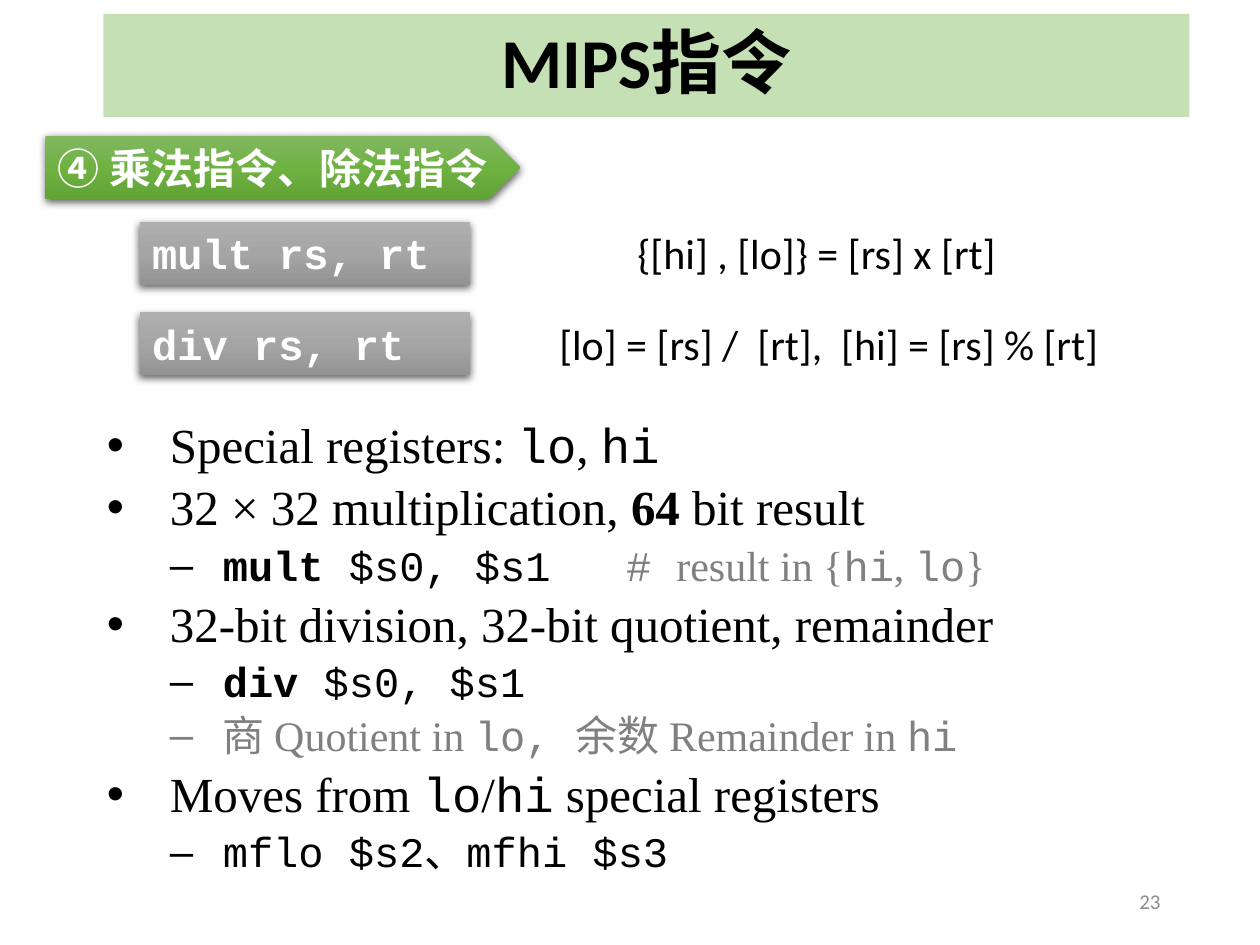
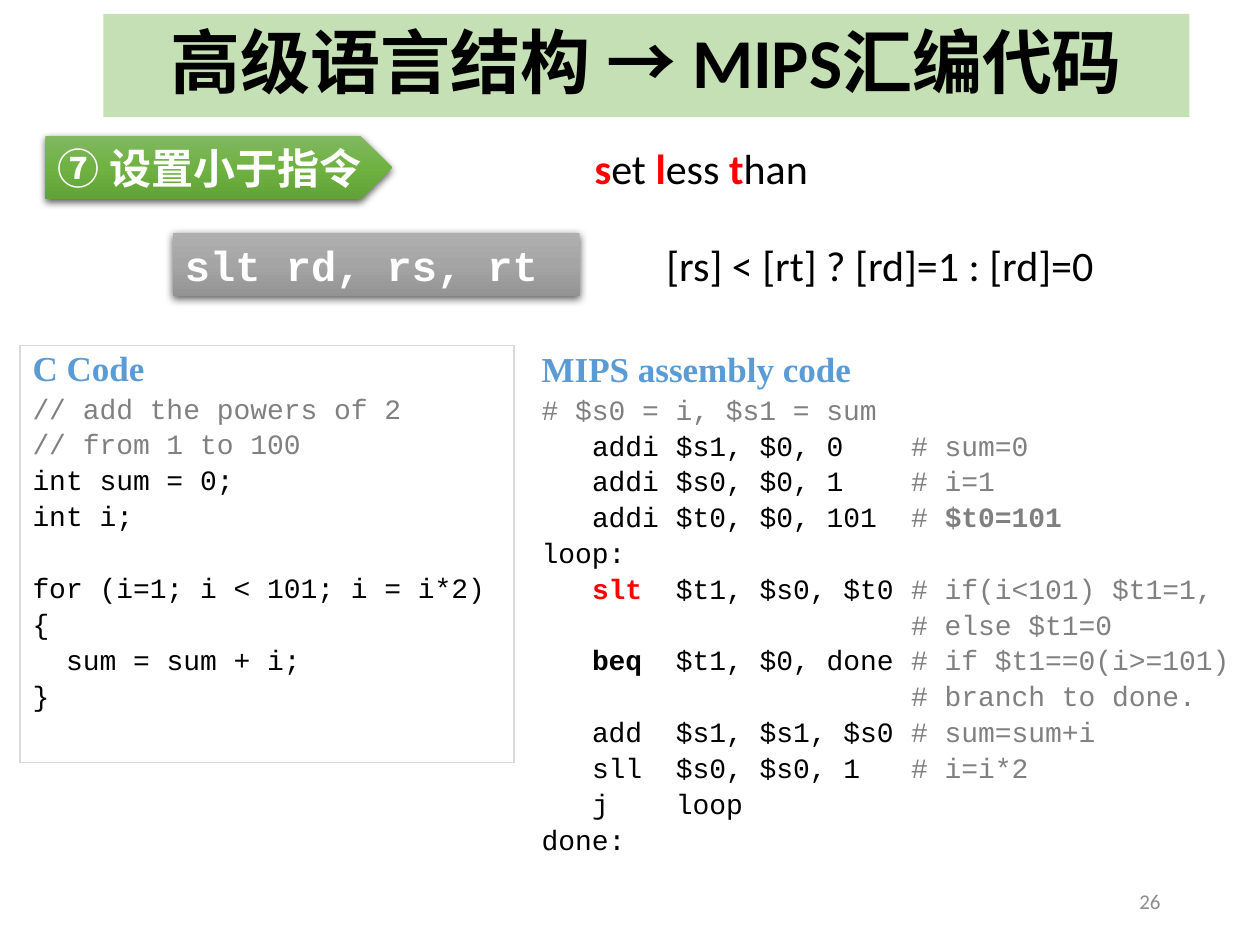
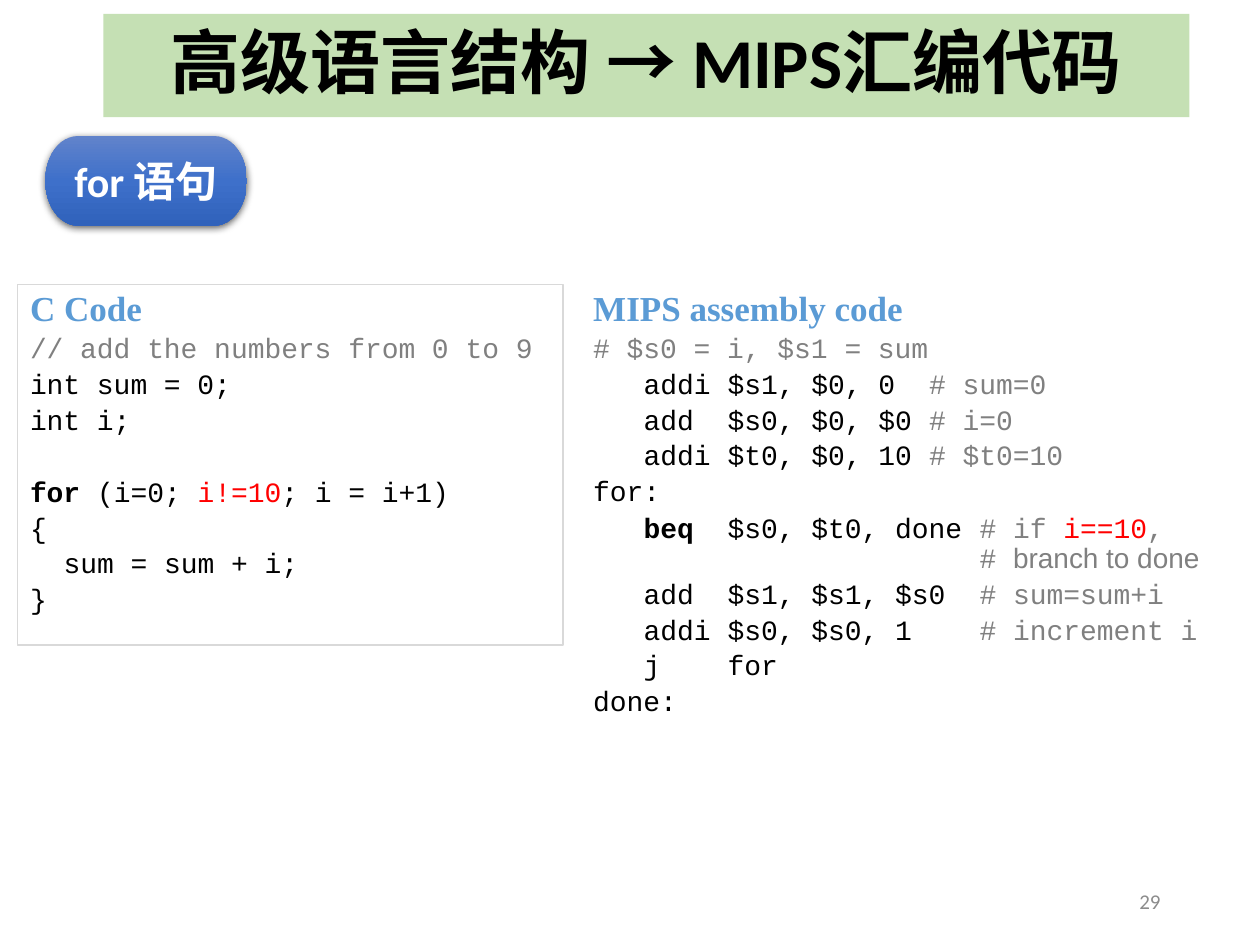
"""Build three slides on MIPS instructions and assembly code."""
from lxml import etree
from pptx import Presentation
from pptx.dml.color import RGBColor
from pptx.enum.shapes import MSO_SHAPE
from pptx.enum.text import MSO_ANCHOR, MSO_AUTO_SIZE, PP_ALIGN
from pptx.oxml.ns import qn
from pptx.util import Inches, Pt

RECT, ARROW = MSO_SHAPE.RECTANGLE, MSO_SHAPE.PENTAGON
PILL = MSO_SHAPE.FLOWCHART_TERMINATOR
TOP, MIDDLE = MSO_ANCHOR.TOP, MSO_ANCHOR.MIDDLE
FIT, FIXED = MSO_AUTO_SIZE.SHAPE_TO_FIT_TEXT, MSO_AUTO_SIZE.NONE
LEFT, CENTER, RIGHT = PP_ALIGN.LEFT, PP_ALIGN.CENTER, PP_ALIGN.RIGHT

SANS, SERIF, MONO = "Calibri", "Times New Roman", "Courier New"
BLACK, WHITE, GREY, RED = "000000", "FFFFFF", "808080", "FF0000"
MINT, BLUE, PALE = "C5E0B4", "5B9BD5", "D9D9D9"
GREENS = ["81B861", "6FB242", "62A336"]
GREYS = ["AFAFAF", "A5A5A5", "939393"]
BLUES = ["6183CB", "3E70CA", "3062BB"]
STYLES = {
    "title": (SANS, BLACK, True), "plain": (SANS, BLACK, False),
    "key": (SANS, RED, True), "label": (SANS, WHITE, True),
    "tag": (MONO, WHITE, True), "page": (SANS, "8C8C8C", False),
    "head": (SERIF, BLUE, True), "text": (SERIF, BLACK, False),
    "strong": (SERIF, BLACK, True), "soft": (SERIF, GREY, False),
    "code": (MONO, BLACK, False), "bold": (MONO, BLACK, True),
    "note": (MONO, GREY, False), "mark": (MONO, GREY, True),
    "red": (MONO, RED, False), "hot": (MONO, RED, True),
    "aside": ("Arial", GREY, False),
}
CHAR = 16 * 0.6 / 72


def write(para, size, runs, align=LEFT):
    """Fill a paragraph with (style, text) runs; a newline text breaks the line."""
    para.alignment = align
    for style, text in runs:
        if text == "\n":
            para.add_line_break()
            continue
        run = para.add_run()
        run.text = text
        name, tone, bold = STYLES[style]
        run.font.name, run.font.size, run.font.bold = name, Pt(size), bold
        run.font.color.rgb = RGBColor.from_string(tone)


def box(slide, at, kind=None, stops=None, wrap=True):
    """Add a text box, an outlined shape or a shaded shape; return its frame."""
    area = [Inches(v) for v in at]
    if kind is None:
        shape = slide.shapes.add_textbox(*area)
    else:
        shape = slide.shapes.add_shape(kind, *area)
        shape.shadow.inherit = False
        if stops:
            shape.fill.gradient()
            shape.fill.gradient_angle = 270
            shape.line.fill.background()
            props = shape.element.spPr
            ramp = props.find(".//" + qn("a:gsLst"))
            ramp.clear()
            for pos, tone in zip((0, 50000, 100000), stops):
                stop = etree.SubElement(ramp, qn("a:gs"), pos=str(pos))
                etree.SubElement(stop, qn("a:srgbClr"), val=tone)
            glow = etree.SubElement(
                props.find(qn("a:effectLst")), qn("a:outerShdw"), blurRad=str(Pt(4.5)),
                dist=str(Pt(1.5)), dir="5400000", algn="ctr", rotWithShape="0")
            tone = etree.SubElement(glow, qn("a:srgbClr"), val=BLACK)
            etree.SubElement(tone, qn("a:alpha"), val="63000")
        else:
            shape.fill.background()
            shape.line.color.rgb = RGBColor.from_string(PALE)
            shape.line.width = Pt(0.75)
    frame = shape.text_frame
    frame.word_wrap = wrap
    frame.vertical_anchor = TOP
    frame.auto_size = FIXED if wrap else FIT
    return frame


deck = Presentation()
deck.slide_width, deck.slide_height = Inches(10), Inches(7.5)

slides = []
LOWER = "高级语言结构 → MIPS汇编代码"
for title, page in [("MIPS指令", "23"), (LOWER, "26"), (LOWER, "29")]:
    slide = deck.slides.add_slide(deck.slide_layouts[5])
    slides.append(slide)
    head = slide.shapes.title
    head.left, head.top = Inches(0.82), Inches(0.11)
    head.width, head.height = Inches(8.62), Inches(0.82)
    head.fill.solid()
    head.fill.fore_color.rgb = RGBColor.from_string(MINT)
    head.text_frame.vertical_anchor = MIDDLE
    head.text_frame.auto_size = FIXED
    para = head.text_frame.paragraphs[0]
    para.line_spacing = 0.9
    write(para, 40, [("title", title)], CENTER)
    frame = box(slide, (7.06, 6.95, 2.25, 0.4))
    frame.vertical_anchor = MIDDLE
    write(frame.paragraphs[0], 12, [("page", page)], RIGHT)
first, second, third = slides

for slide, width, text in [(first, 3.77, "④ 乘法指令、除法指令"), (second, 2.75, "⑦ 设置小于指令")]:
    frame = box(slide, (0.36, 1.08, width, 0.5), ARROW, GREENS, False)
    write(frame.paragraphs[0], 24, [("label", text)])
frame = box(third, (0.36, 1.08, 1.6, 0.71), PILL, BLUES)
write(frame.paragraphs[0], 24, [("label", "for 语句")], CENTER)

for slide, left, top, width, text in [
    (first, 1.11, 1.76, 2.62, "mult rs, rt"),
    (first, 1.11, 2.48, 2.62, "div rs, rt"),
    (second, 1.37, 1.85, 3.23, "slt rd, rs, rt"),
]:
    frame = box(slide, (left, top, width, 0.5), RECT, GREYS, False)
    write(frame.paragraphs[0], 24, [("tag", text)])

SLT = [("key", "s"), ("plain", "et "), ("key", "l"), ("plain", "ess "), ("key", "t"), ("plain", "han")]
for slide, left, top, width, runs in [
    (first, 4.96, 1.76, 3.07, [("plain", "{[hi] , [lo]} = [rs] x [rt]")]),
    (first, 4.34, 2.48, 4.52, [("plain", "[lo] = [rs] /  [rt],  [hi] = [rs] % [rt]")]),
    (second, 5.19, 1.85, 3.62, [("plain", "[rs] < [rt] ? [rd]=1 : [rd]=0")]),
    (second, 4.62, 1.08, 1.91, SLT),
]:
    frame = box(slide, (left, top, width, 0.5), wrap=False)
    write(frame.paragraphs[0], 24, runs)

points = [
    (0, [("text", "Special registers: "), ("code", "lo"), ("text", ", "), ("code", "hi")]),
    (0, [("text", "32 × 32 multiplication, "), ("strong", "64 "), ("text", "bit result")]),
    (1, [("bold", "mult"), ("code", " $s0, $s1\t"), ("note", "# "), ("soft", "result in {"),
         ("note", "hi"), ("soft", ", "), ("note", "lo"), ("soft", "}")]),
    (0, [("text", "32-bit division, 32-bit quotient, remainder")]),
    (1, [("bold", "div"), ("code", " $s0, $s1")]),
    (1, [("soft", "商 Quotient in "), ("note", "lo, "), ("soft", "余数 Remainder in "), ("note", "hi")]),
    (0, [("text", "Moves from "), ("code", "lo"), ("text", "/"), ("code", "hi"),
         ("text", " special registers")]),
    (1, [("code", "mflo $s2、mfhi $s3")]),
]
frame = box(first, (0.75, 3.29, 8.42, 3.93))
for row, (level, runs) in enumerate(points):
    para = frame.add_paragraph() if row else frame.paragraphs[0]
    para.level, para.line_spacing = level, 0.9
    write(para, (28, 24)[level], runs)
    props = para._p.get_or_add_pPr()
    props.set("marL", str(Inches((0.5, 0.92)[level])))
    props.set("indent", str(-Inches((0.5, 0.42)[level])))
    gap = etree.SubElement(props, qn("a:spcBef"))
    etree.SubElement(gap, qn("a:spcPct"), val="20000")
    etree.SubElement(props, qn("a:buFont"), typeface="Arial")
    etree.SubElement(props, qn("a:buChar"), char="•–"[level])
    tabs = etree.SubElement(props, qn("a:tabLst"))
    etree.SubElement(tabs, qn("a:tab"), pos=str(Inches(4.12)), algn="l")

powers = [
    [("head", "C Code")],
    [("note", "// add the powers of 2")],
    [("note", "// from 1 to 100")],
    [("code", "int sum = 0;")],
    [("code", "int i;")],
    [("code", "for (i=1; i < 101; i = i*2)")],
    [("code", "{")],
    [("code", "\tsum = sum + i;")],
    [("code", "}")],
]
less = [
    [("head", "MIPS assembly code")],
    [("note", "# $s0 = i, $s1 = sum")],
    [("code", "\taddi\t$s1, $0, 0\t"), ("note", "# sum=0")],
    [("code", "\taddi\t$s0, $0, 1\t"), ("note", "# i=1")],
    [("code", "\taddi\t$t0, $0, 101\t"), ("note", "# "), ("mark", "$t0=101")],
    [("code", "loop:")],
    [("hot", "\tslt\t"), ("code", "$t1, $s0, $t0\t"), ("note", "# if(i<101) $t1=1,")],
    [("note", "\t\t\t# else $t1=0")],
    [("bold", "\tbeq\t"), ("code", "$t1, $0, done\t"), ("note", "# if $t1==0(i>=101)")],
    [("note", "\t\t\t# branch to done.")],
    [("code", "\tadd\t$s1, $s1, $s0\t"), ("note", "# sum=sum+i")],
    [("code", "\tsll\t$s0, $s0, 1\t"), ("note", "# i=i*2")],
    [("code", "\tj\tloop")],
    [("code", "done:")],
]
numbers = [
    [("head", "C Code")],
    [("note", "// add the numbers from 0 to 9")],
    [("code", "int sum = 0;")],
    [("code", "int i;")],
    [("bold", "for"), ("code", " (i=0; "), ("red", "i!=10"), ("code", "; i = i+1)")],
    [("code", "{")],
    [("code", "\tsum = sum + i;")],
    [("code", "}")],
]
loop = [
    [("head", "MIPS assembly code")],
    [("note", "# $s0 = i, $s1 = sum")],
    [("code", "\taddi\t$s1, $0, 0\t"), ("note", "# sum=0")],
    [("code", "\tadd\t$s0, $0, $0\t"), ("note", "# i=0")],
    [("code", "\taddi\t$t0, $0, 10\t"), ("note", "# $t0=10")],
    [("code", "for:")],
    [("bold", "\tbeq\t"), ("code", "$s0, $t0, done\t"), ("note", "# if "), ("red", "i==10"),
     ("note", ","), ("note", "\n"), ("note", "\t\t\t\t# "), ("aside", "branch to done")],
    [("code", "\tadd\t$s1, $s1, $s0\t"), ("note", "# sum=sum+i")],
    [("code", "\taddi\t$s0, $s0, 1\t\t"), ("note", "# increment i")],
    [("code", "\tj\tfor")],
    [("code", "done:")],
]
for slide, at, kind, cols, lines in [
    (second, (0.16, 2.74, 3.92, 3.31), RECT, (2,), powers),
    (second, (4.2, 2.75, 5.69, 4.5), None, (3, 8, 22), less),
    (third, (0.14, 2.26, 4.33, 2.86), RECT, (2,), numbers),
    (third, (4.61, 2.26, 5.21, 3.26), None, (3, 8, 20, 23), loop),
]:
    frame = box(slide, at, kind)
    for row, runs in enumerate(lines):
        para = frame.add_paragraph() if row else frame.paragraphs[0]
        para.line_spacing = 0.9
        write(para, 16 if row else 20, runs)
        props = para._p.get_or_add_pPr()
        if row and lines[row - 1][0][1] == "int i;":
            para.space_before = Pt(24)
        else:
            gap = etree.SubElement(props, qn("a:spcBef"))
            etree.SubElement(gap, qn("a:spcPct"), val="20000")
        tabs = etree.SubElement(props, qn("a:tabLst"))
        for col in cols:
            etree.SubElement(tabs, qn("a:tab"), pos=str(Inches(col * CHAR)), algn="l")

deck.save("out.pptx")
